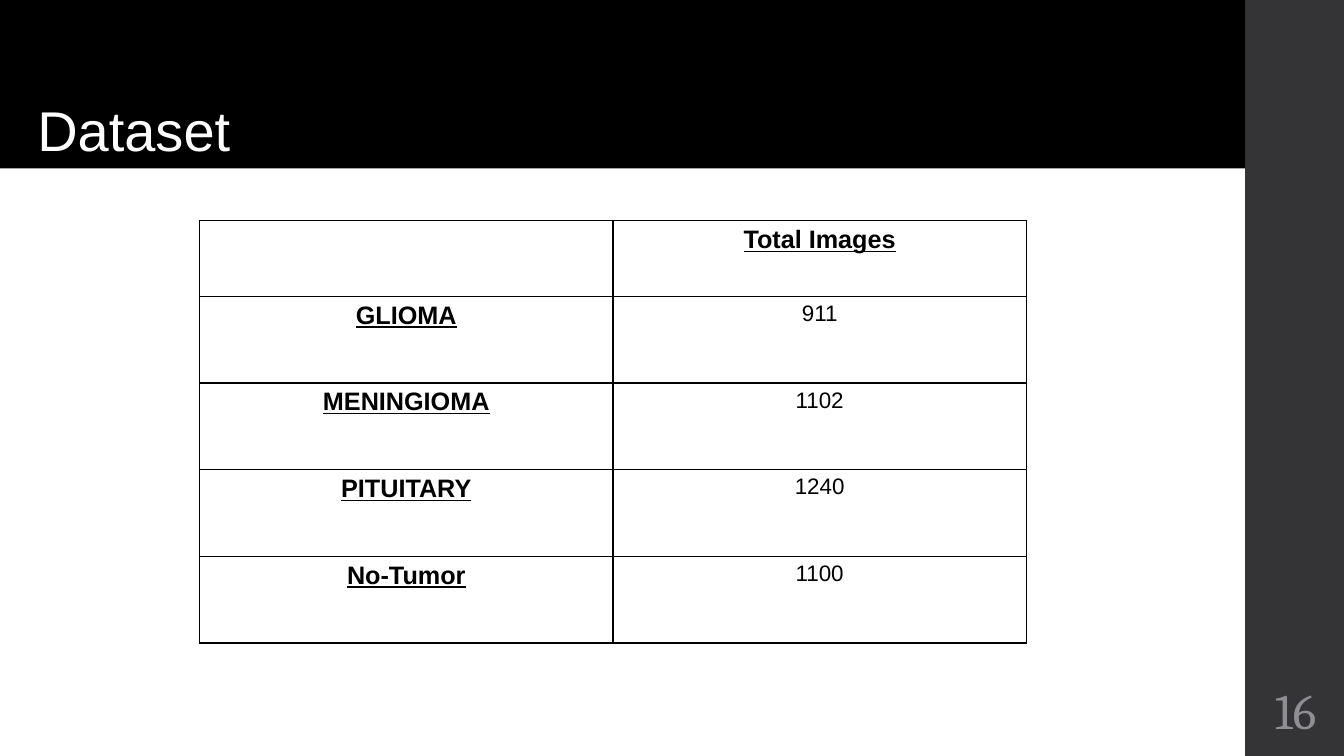
import pptx
import pptx.dml.color
import pptx.enum.shapes
import pptx.enum.text
import pptx.oxml
import pptx.oxml.ns
import pptx.util
from pptx.util import Inches

TITLE = "Dataset"
PAGE_NUMBER = "16"
ROWS = [
    ("", "Total Images"),
    ("GLIOMA", "911"),
    ("MENINGIOMA", "1102"),
    ("PITUITARY", "1240"),
    ("No-Tumor", "1100"),
]
COLORS = {
    "black": "000000",
    "white": "FFFFFF",
    "sidebar": "343437",
    "number": "8E8E93",
}
SLIDE_WIDTH, SLIDE_HEIGHT = 13.33, 7.5
SIDEBAR_LEFT, SIDEBAR_WIDTH = 12.35, 1
TABLE_LEFT, TABLE_TOP = 1.98, 2.19
COLUMN_WIDTH, HEADER_HEIGHT, ROW_HEIGHT = 4.1, 0.75, 0.86
BORDER_WIDTH = 0.96

ALIGN = pptx.enum.text.PP_ALIGN
ANCHOR = pptx.enum.text.MSO_ANCHOR


def rgb(name):
    return pptx.dml.color.RGBColor.from_string(COLORS[name])


def add_block(slide, left, top, width, height, color):
    shape = slide.shapes.add_shape(
        pptx.enum.shapes.MSO_SHAPE.RECTANGLE,
        Inches(left), Inches(top), Inches(width), Inches(height))
    shape.shadow.inherit = False
    shape.fill.solid()
    shape.fill.fore_color.rgb = rgb(color)
    shape.line.fill.background()
    return shape


def write(text_frame, text, size, color, font="Arial", align=ALIGN.CENTER, strong=False):
    text_frame.text = text
    paragraph = text_frame.paragraphs[0]
    paragraph.alignment = align
    for run in paragraph.runs:
        run.font.name = font
        run.font.size = pptx.util.Pt(size)
        run.font.color.rgb = rgb(color)
        run.font.bold = strong
        run.font.underline = strong
    return paragraph


def set_insets(text_frame, left, top, right, bottom):
    text_frame.margin_left, text_frame.margin_top = Inches(left), Inches(top)
    text_frame.margin_right, text_frame.margin_bottom = Inches(right), Inches(bottom)


def add_borders(cell):
    properties = cell._tc.get_or_add_tcPr()
    for position, side in enumerate(("lnL", "lnR", "lnT", "lnB")):
        border = pptx.oxml.parse_xml(
            f'<a:{side} {pptx.oxml.ns.nsdecls("a")} w="{pptx.util.Pt(BORDER_WIDTH)}">'
            f'<a:solidFill><a:srgbClr val="{COLORS["black"]}"/></a:solidFill></a:{side}>')
        properties.insert(position, border)


def add_dataset_table(slide):
    table_height = HEADER_HEIGHT + ROW_HEIGHT * (len(ROWS) - 1)
    table = slide.shapes.add_table(
        len(ROWS), 2, Inches(TABLE_LEFT), Inches(TABLE_TOP),
        Inches(2 * COLUMN_WIDTH), Inches(table_height)).table
    for column in table.columns:
        column.width = Inches(COLUMN_WIDTH)
    for row_index, values in enumerate(ROWS):
        is_header = row_index == 0
        table.rows[row_index].height = Inches(HEADER_HEIGHT if is_header else ROW_HEIGHT)
        for column_index, value in enumerate(values):
            cell = table.cell(row_index, column_index)
            is_label = is_header or column_index == 0
            write(cell.text_frame, value, 18 if is_label else 16, "black", strong=is_label)
            cell.fill.solid()
            cell.fill.fore_color.rgb = rgb("white")
            add_borders(cell)


def main():
    presentation = pptx.Presentation()
    presentation.slide_width = Inches(SLIDE_WIDTH)
    presentation.slide_height = Inches(SLIDE_HEIGHT)
    slide = presentation.slides.add_slide(presentation.slide_layouts[6])
    slide.background.fill.solid()
    slide.background.fill.fore_color.rgb = rgb("white")

    # Sidebar
    add_block(slide, SIDEBAR_LEFT, 0, SIDEBAR_WIDTH, SLIDE_HEIGHT, "sidebar")

    # Title band
    band = add_block(slide, 0, 0, SIDEBAR_LEFT, 1.67, "black")
    band.text_frame.word_wrap = True
    band.text_frame.vertical_anchor = ANCHOR.BOTTOM
    set_insets(band.text_frame, 0.37, 0.05, 0.1, 0.05)
    write(band.text_frame, TITLE, 40, "white", align=ALIGN.LEFT).line_spacing = 0.9

    # Page number
    number = slide.shapes.add_textbox(
        Inches(SIDEBAR_LEFT), Inches(6.75), Inches(SIDEBAR_WIDTH), Inches(0.65))
    number.text_frame.word_wrap = True
    number.text_frame.vertical_anchor = ANCHOR.MIDDLE
    set_insets(number.text_frame, 0.05, 0.05, 0.05, 0.05)
    write(number.text_frame, PAGE_NUMBER, 35.5, "number", font="Cambria").line_spacing = 0.9

    # Image counts per class
    add_dataset_table(slide)

    presentation.save("out.pptx")


if __name__ == "__main__":
    main()
